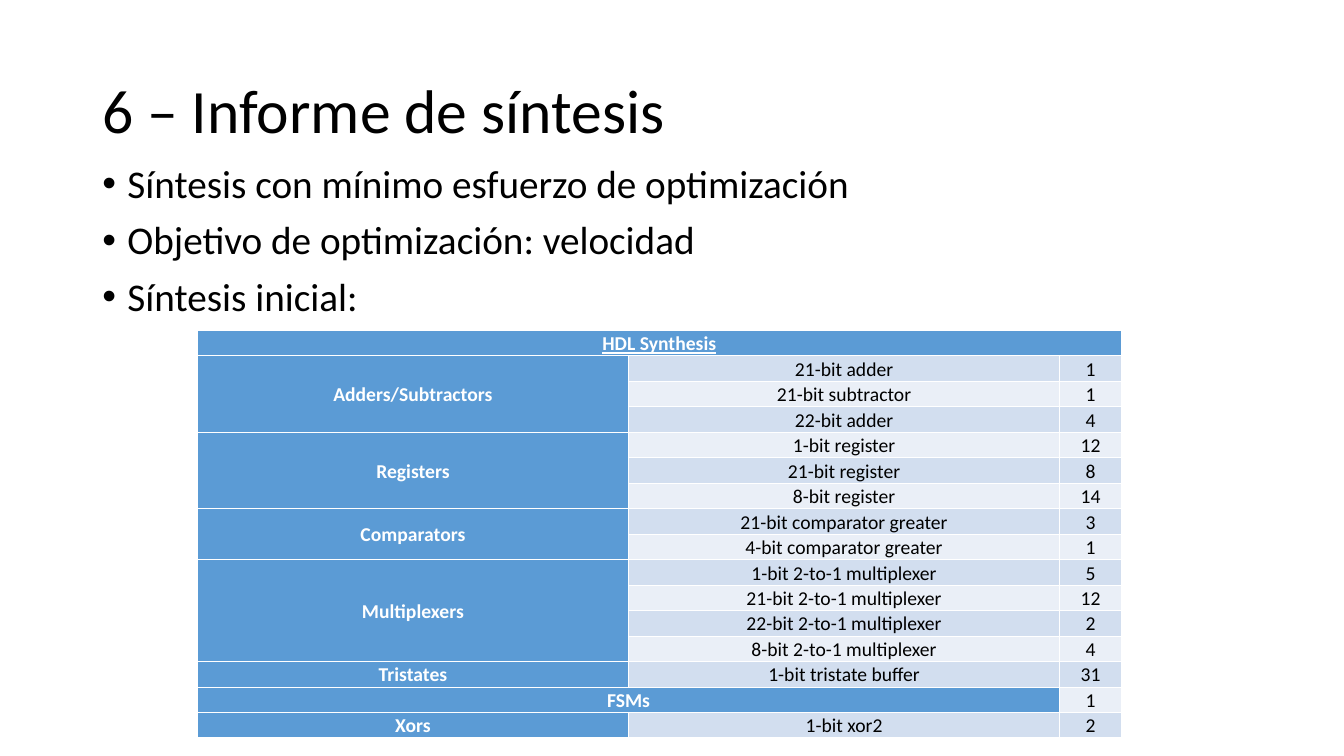
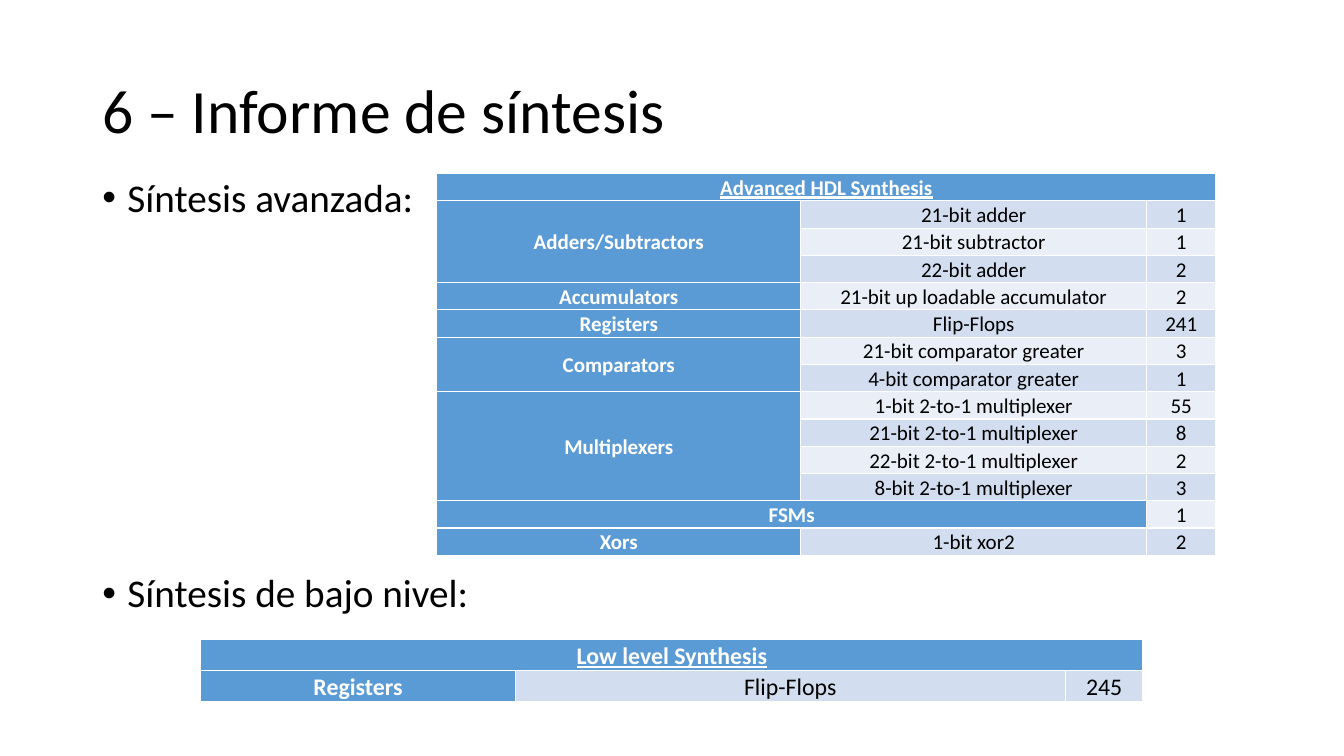
from lxml.etree import SubElement
from pptx import Presentation
from pptx.dml.color import RGBColor
from pptx.enum.text import MSO_ANCHOR, PP_ALIGN
from pptx.oxml.ns import qn
from pptx.util import Pt

FONT = "Calibri"
BLACK, WHITE, BLUE = "000000", "FFFFFF", "5B9BD5"
BANDS = ("EAEFF7", "D2DEEF")
TITLE = "6 – Informe de síntesis"
BULLET_INDENT = Pt(18)

ADDERS = ["21-bit adder", "21-bit subtractor", "22-bit adder"]
COMPARATORS = [("21-bit comparator greater", 3), ("4-bit comparator greater", 1)]
MULTIPLEXERS = [f"{bits}-bit 2-to-1 multiplexer" for bits in (1, 21, 22, 8)]
FINAL_GROUPS = [("FSMs", [("", 1)]), ("Xors", [("1-bit xor2", 2)])]

initial_synthesis = {
    "heading": "HDL Synthesis", "left": 141, "top": 236,
    "widths": (308, 308, 44), "size": 14, "margin": 6.5,
    "groups": [
        ("Adders/Subtractors", list(zip(ADDERS, (1, 1, 4)))),
        ("Registers", [("1-bit register", 12), ("21-bit register", 8), ("8-bit register", 14)]),
        ("Comparators", COMPARATORS),
        ("Multiplexers", list(zip(MULTIPLEXERS, (5, 12, 2, 4)))),
        ("Tristates", [("1-bit tristate buffer", 31)]),
    ] + FINAL_GROUPS,
}
advanced_synthesis = {
    "heading": "Advanced HDL Synthesis", "left": 312, "top": 124,
    "widths": (260, 247, 49.5), "size": 15, "margin": 7.2,
    "groups": [
        ("Adders/Subtractors", list(zip(ADDERS, (1, 1, 2)))),
        ("Accumulators", [("21-bit up loadable accumulator", 2)]),
        ("Registers", [("Flip-Flops", 241)]),
        ("Comparators", COMPARATORS),
        ("Multiplexers", list(zip(MULTIPLEXERS, (55, 8, 2, 3)))),
    ] + FINAL_GROUPS,
}
low_level_synthesis = {
    "heading": "Low level Synthesis", "left": 143.5, "top": 457,
    "widths": (224.5, 393, 55.5), "size": 17, "margin": 8.6,
    "groups": [("Registers", [("Flip-Flops", 245)])],
}

slides = [
    {
        "body_top": 114,
        "bullets": [
            ("Síntesis con mínimo esfuerzo de optimización", 10),
            ("Objetivo de optimización: velocidad", 10),
            ("Síntesis inicial:", 10),
        ],
        "tables": [initial_synthesis],
    },
    {
        "body_top": 124,
        "bullets": [("Síntesis avanzada:", 10), ("Síntesis de bajo nivel:", 252)],
        "tables": [advanced_synthesis, low_level_synthesis],
    },
]


def color(value):
    return RGBColor.from_string(value)


def style_paragraph(paragraph, size, text_color, line_spacing, bold=False, underline=False):
    paragraph.line_spacing = line_spacing
    font = paragraph.font
    font.name, font.size = FONT, Pt(size)
    font.bold, font.underline = bold, underline
    font.color.rgb = color(text_color)


presentation = Presentation()
presentation.slide_width, presentation.slide_height = Pt(960), Pt(540)

for content in slides:
    slide = presentation.slides.add_slide(presentation.slide_layouts[6])

    title = slide.shapes.add_textbox(Pt(66), Pt(28.8), Pt(828), Pt(104.4)).text_frame
    title.word_wrap = True
    title.vertical_anchor = MSO_ANCHOR.MIDDLE
    title.text = TITLE
    style_paragraph(title.paragraphs[0], 44, BLACK, 0.9)

    top = content["body_top"]
    body = slide.shapes.add_textbox(Pt(66), Pt(top), Pt(828), Pt(486 - top)).text_frame
    body.word_wrap = True
    body.text = "\n".join(text for text, _ in content["bullets"])
    for paragraph, (_, space_before) in zip(body.paragraphs, content["bullets"]):
        paragraph.space_before = Pt(space_before)
        style_paragraph(paragraph, 28, BLACK, 0.9)
        properties = paragraph._p.get_or_add_pPr()
        properties.set("marL", str(BULLET_INDENT))
        properties.set("indent", str(-BULLET_INDENT))
        default_font = properties.find(qn("a:defRPr"))
        SubElement(properties, qn("a:buFont")).set("typeface", "Arial")
        SubElement(properties, qn("a:buChar")).set("char", "•")
        properties.append(default_font)

    for report in content["tables"]:
        rows = [(report["heading"], "", "")]
        merges = [(0, 0, 0, 2)]
        for name, items in report["groups"]:
            first = len(rows)
            rows += [(name if index == 0 else "", item, str(count))
                     for index, (item, count) in enumerate(items)]
            if len(items) > 1:
                merges.append((first, 0, len(rows) - 1, 0))
            elif not items[0][0]:
                merges.append((first, 0, first, 1))

        row_height = report["size"] * 1.3
        table = slide.shapes.add_table(
            len(rows), 3, Pt(report["left"]), Pt(report["top"]),
            Pt(sum(report["widths"])), Pt(row_height * len(rows))).table
        for column, width in zip(table.columns, report["widths"]):
            column.width = Pt(width)
        for row_index, values in enumerate(rows):
            table.rows[row_index].height = Pt(row_height)
            for column_index, value in enumerate(values):
                cell = table.cell(row_index, column_index)
                heading = row_index == 0
                label = heading or column_index == 0
                cell.text = value
                cell.vertical_anchor = MSO_ANCHOR.MIDDLE
                cell.margin_left = cell.margin_right = Pt(report["margin"])
                cell.margin_top = cell.margin_bottom = 0
                cell.fill.solid()
                cell.fill.fore_color.rgb = color(BLUE if label else BANDS[row_index % 2])
                paragraph = cell.text_frame.paragraphs[0]
                paragraph.alignment = PP_ALIGN.CENTER
                style_paragraph(paragraph, report["size"], WHITE if label else BLACK,
                                1.07, bold=label, underline=heading)
        for first_row, first_column, last_row, last_column in merges:
            table.cell(first_row, first_column).merge(table.cell(last_row, last_column))

presentation.save("out.pptx")
